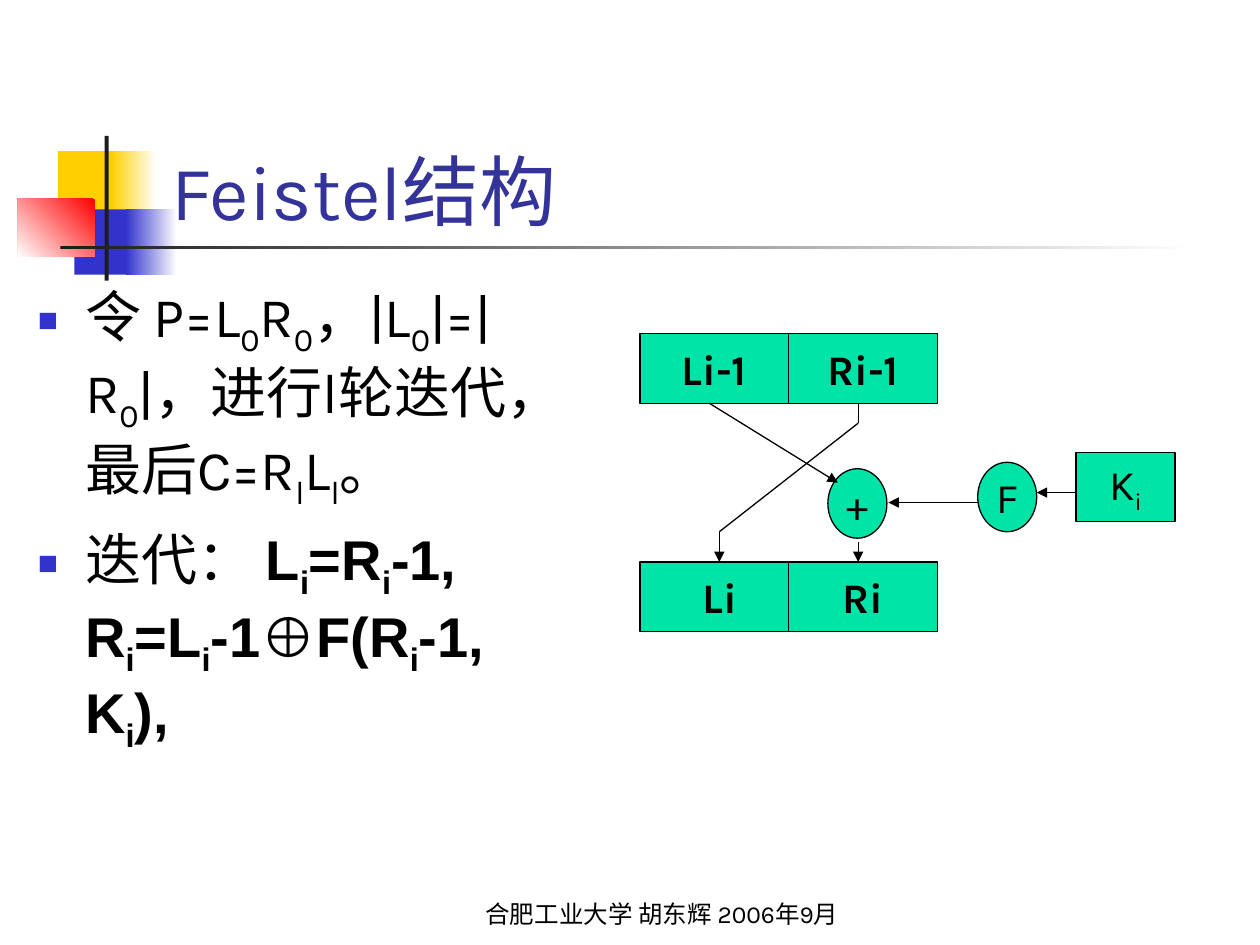
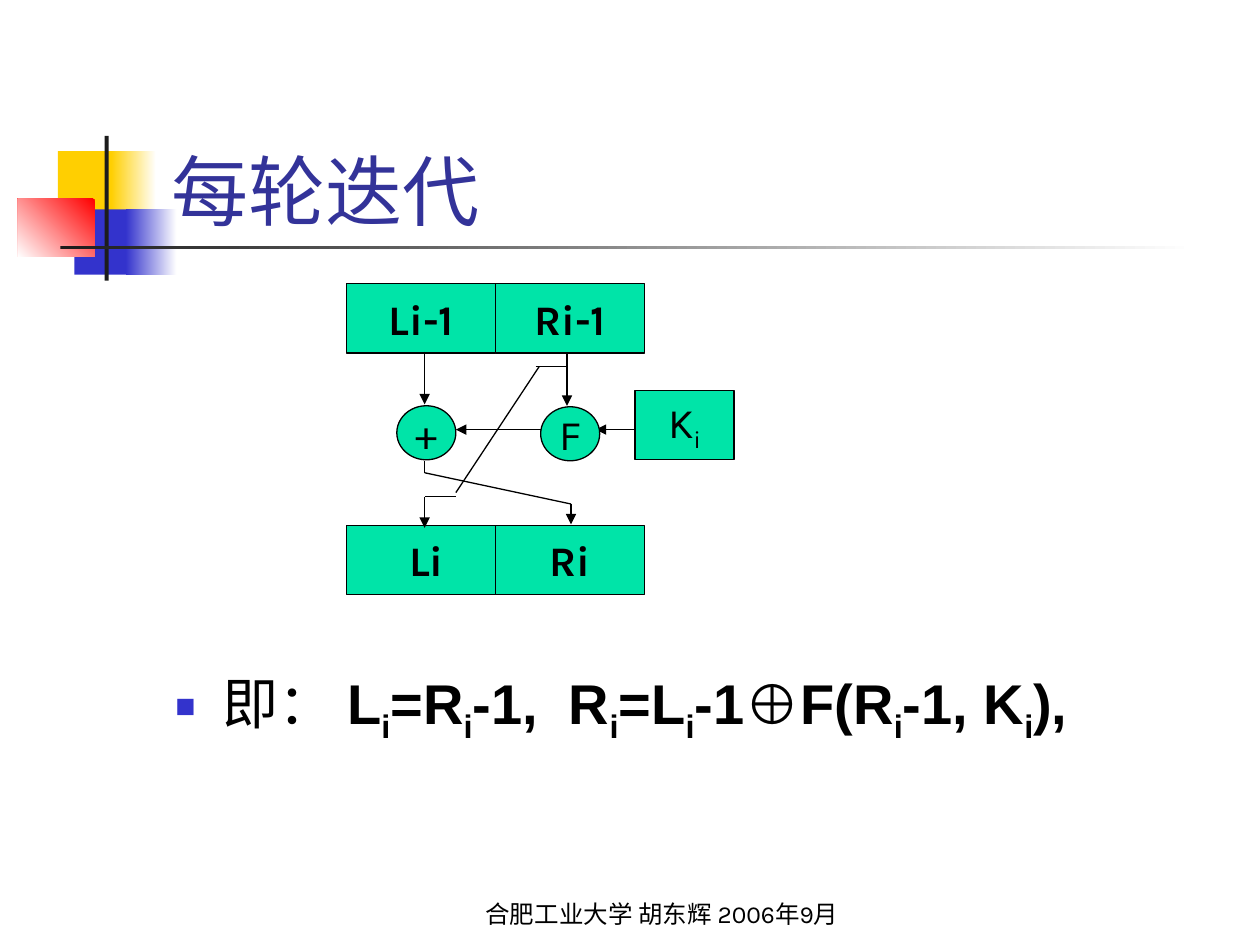
"""Build two slides on the Feistel structure and its round iteration."""
from lxml import etree
from pptx import Presentation
from pptx.dml.color import RGBColor
from pptx.enum import shapes, text
from pptx.oxml import ns
from pptx.util import Cm, Pt

WHITE = RGBColor(0xFF, 0xFF, 0xFF)
BLACK = RGBColor(0, 0, 0)
CHARCOAL = RGBColor(0x1C, 0x1C, 0x1C)
YELLOW = RGBColor(0xFF, 0xCF, 0x01)
RED = RGBColor(0xFF, 0, 0)
BLUE = RGBColor(0x33, 0x33, 0xCC)
TITLE = RGBColor(0x33, 0x33, 0x99)
GREEN = RGBColor(0, 0xE4, 0xA8)

KARLA, ARIAL = "Karla", "Arial"
FOOTER = "合肥工业大学 胡东辉 2006年9月"
RECT, OVAL = shapes.MSO_SHAPE.RECTANGLE, shapes.MSO_SHAPE.OVAL
BOX_W, BOX_H, NODE_W = 3, 1.4, 1.19

BANDS = [
    (1.17, 3.05, 1.22, 1.32, YELLOW, None),
    (2.24, 3.05, 0.91, 1.32, YELLOW, 0),
    (1.5, 4.22, 1.17, 1.32, BLUE, None),
    (2.54, 4.22, 1.02, 1.32, BLUE, 0),
    (0.36, 4.01, 1.55, 1.17, RED, 225),
    (2.11, 2.74, 0.08, 2.92, CHARCOAL, None),
    (1.22, 4.95, 22.86, 0.08, CHARCOAL, 0),
]


def sub(parent, tag, **attrs):
    return etree.SubElement(parent, ns.qn(tag), attrs)


class Deck:
    """Hold the presentation, its style and the current slide."""

    def __init__(self):
        self.prs = Presentation()
        self.prs.slide_width, self.prs.slide_height = Cm(25.4), Cm(19.05)
        self.s = self.canvas = None

    def slide(self, title):
        self.s = self.prs.slides.add_slide(self.prs.slide_layouts[1])
        self.canvas = self.s.shapes
        if len(self.prs.slides) == 1:
            self.master_bands()
        sp = self.s.shapes.title
        tf = self.frame(sp, (3.2, 1.7, 21.64, 3.18), text.MSO_ANCHOR.BOTTOM)
        p = tf.paragraphs[0]
        p.alignment = text.PP_ALIGN.LEFT
        self.runs(p, title, 44, color=TITLE)

    def master_bands(self):
        tree = self.prs.slide_master.shapes.element
        for i, (x, y, w, h, color, angle) in enumerate(BANDS):
            sp = self.shape(RECT, x, y, w, h)
            sp.line.fill.background()
            if angle is None:
                sp.fill.solid()
                sp.fill.fore_color.rgb = color
            else:
                sp.fill.gradient()
                sp.fill.gradient_angle = angle
                for stop, rgb in zip(sp.fill.gradient_stops, (color, WHITE)):
                    stop.color.rgb = rgb
            sp.element.nvSpPr.cNvPr.set("id", str(20 + i))
            tree.insert(2 + i, sp.element)

    def frame(self, sp, at, anchor):
        sp.left, sp.top, sp.width, sp.height = map(Cm, at)
        tf = sp.text_frame
        tf.auto_size = text.MSO_AUTO_SIZE.NONE
        tf.word_wrap = True
        tf.vertical_anchor = anchor
        return tf

    def runs(self, p, marked, size, font=KARLA, bold=False, color=BLACK):
        """Add runs; the letter after an underscore is a subscript."""
        first, *rest = marked.split("_")
        pieces = [(first, False)]
        for part in rest:
            pieces += [(part[0], True), (part[1:], False)]
        for piece, lowered in pieces:
            if piece:
                r = p.add_run()
                r.text = piece
                r.font.name, r.font.size, r.font.bold = font, Pt(size), bold
                r.font.color.rgb = color
                if lowered:
                    r.font._element.set("baseline", "-25000")

    def body(self, at, items):
        tf = self.frame(self.s.placeholders[1], at, text.MSO_ANCHOR.TOP)
        for i, item in enumerate(items):
            p = tf.add_paragraph() if i else tf.paragraphs[0]
            pPr = p._p.get_or_add_pPr()
            pPr.set("marL", str(Cm(0.95)))
            pPr.set("indent", str(-Cm(0.95)))
            sub(sub(pPr, "a:buClr"), "a:srgbClr", val=str(BLUE))
            sub(pPr, "a:buSzPct", val="60000")
            sub(pPr, "a:buFont", typeface=ARIAL)
            sub(pPr, "a:buChar", char="■")
            p.space_before = Pt(8 if i else 0)
            for marked, font, bold in item:
                self.runs(p, marked, 32, font, bold)

    def shape(self, kind, x, y, w, h):
        sp = self.canvas.add_shape(kind, Cm(x), Cm(y), Cm(w), Cm(h))
        sp.shadow.inherit = False
        return sp

    def node(self, label, x, y, w=BOX_W, h=BOX_H, kind=RECT, bold=False):
        sp = self.shape(kind, x, y, w, h)
        sp.fill.solid()
        sp.fill.fore_color.rgb = GREEN
        sp.line.color.rgb, sp.line.width = BLACK, Pt(0.75)
        tf = sp.text_frame
        tf.word_wrap = False
        tf.vertical_anchor = text.MSO_ANCHOR.MIDDLE
        p = tf.paragraphs[0]
        p.alignment = text.PP_ALIGN.CENTER
        self.runs(p, label, 24, bold=bold)

    def registers(self, x, top, bottom):
        for y, labels in ((top, ("Li-1", "Ri-1")), (bottom, (" Li", "Ri"))):
            for i, label in enumerate(labels):
                self.node(label, x + i * BOX_W, y, bold=True)

    def route(self, *points, arrow=True):
        """Join the points by lines, with an arrowhead on the last one."""
        for i, (a, b) in enumerate(zip(points, points[1:]), 2):
            c = self.canvas.add_connector(
                shapes.MSO_CONNECTOR.STRAIGHT, *map(Cm, a + b))
            c.line.color.rgb, c.line.width = BLACK, Pt(0.75)
            if arrow and i == len(points):
                sub(c.line._get_or_add_ln(), "a:tailEnd", type="triangle")
            sub(c.element.spPr, "a:effectLst")

    def group(self):
        self.canvas = self.s.shapes.add_group_shape().shapes

    def footer(self):
        at = (9.32, 17.58, 8.05, 1.27)
        sp = self.s.shapes.add_textbox(*map(Cm, at))
        p = self.frame(sp, at, text.MSO_ANCHOR.BOTTOM).paragraphs[0]
        p.alignment = text.PP_ALIGN.CENTER
        self.runs(p, FOOTER, 14)


def formula(lead, gap):
    return [(lead, KARLA, False),
            (f"L_i=R_i-1,{gap}R_i=L_i-1", ARIAL, True),
            ("⊕", ARIAL, False),
            ("F(R_i-1, K_i),", ARIAL, True)]


def structure_slide(d):
    d.slide("Feistel结构")
    d.body((0.51, 5.54, 11.4, 11.43), [
        [("令 P=L_0R_0，|L_0|=|R_0|，进行l轮迭代，最后C=R_lL_l。", KARLA, False)],
        formula("迭代： ", " ")])
    d.registers(12.9, 6.73, 11.33)
    d.node("K_i", 21.69, 9.12, w=2)
    d.node("+", 16.69, 9.45, w=NODE_W, kind=OVAL)
    d.node("F", 19.71, 9.32, w=NODE_W, kind=OVAL)
    d.route((14.3, 8.13), (16.89, 9.73))
    d.route((17.3, 10.92), (17.3, 11.33))
    d.route((17.3, 8.13), (17.3, 8.53), (14.5, 10.72), (14.5, 11.33))
    d.route((21.69, 9.93), (20.9, 9.93))
    d.route((19.71, 10.13), (17.91, 10.13))
    d.footer()


def round_slide(d):
    d.slide("每轮迭代")
    d.body((3.28, 13.34, 21.59, 3.71), [formula("即： ", "  ")])
    d.group()
    d.registers(6.99, 5.72, 10.59)
    d.node("K_i", 12.8, 7.87, w=2)
    d.node("+", 8, 8.18, w=NODE_W, h=1.09, kind=OVAL)
    d.route((12.8, 8.66), (12.01, 8.66))
    d.route((11, 8.66), (9.19, 8.66))
    d.route((8.56, 7.09), (8.56, 8.15))
    d.node("F", 10.9, 8.2, w=NODE_W, h=1.09, kind=OVAL)
    d.route((11.43, 7.11), (11.43, 8.18))
    d.route((10.8, 7.39), (11.43, 7.39), arrow=False)
    d.route((9.19, 10.01), (8.56, 10.01), (8.56, 10.64))
    d.route((10.87, 7.39), (9.19, 9.93), arrow=False)
    d.route((8.56, 9.3), (8.56, 9.53), (11.51, 10.16), (11.51, 10.57))
    d.footer()


def main():
    d = Deck()
    structure_slide(d)
    round_slide(d)
    d.prs.save("out.pptx")


if __name__ == "__main__":
    main()
